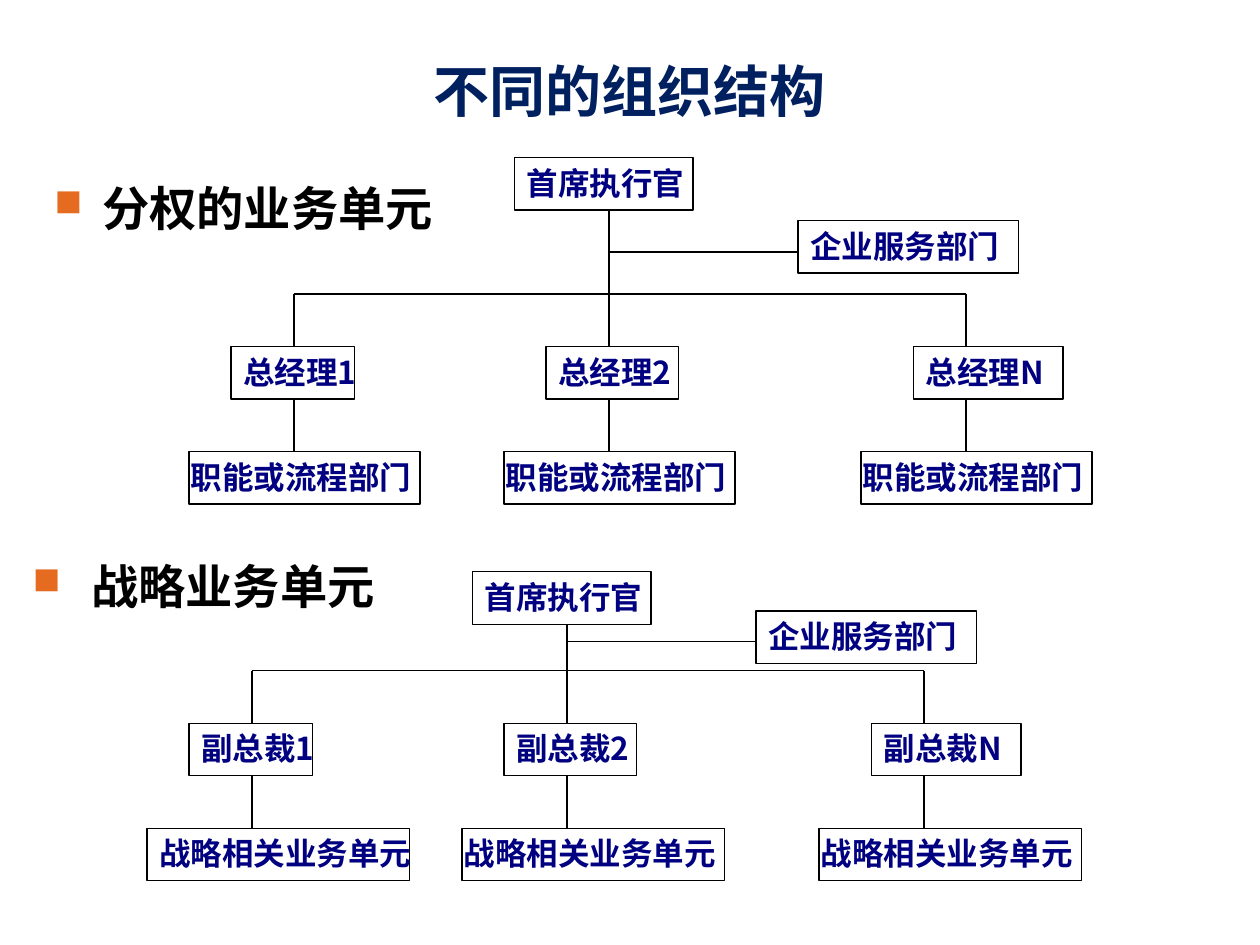
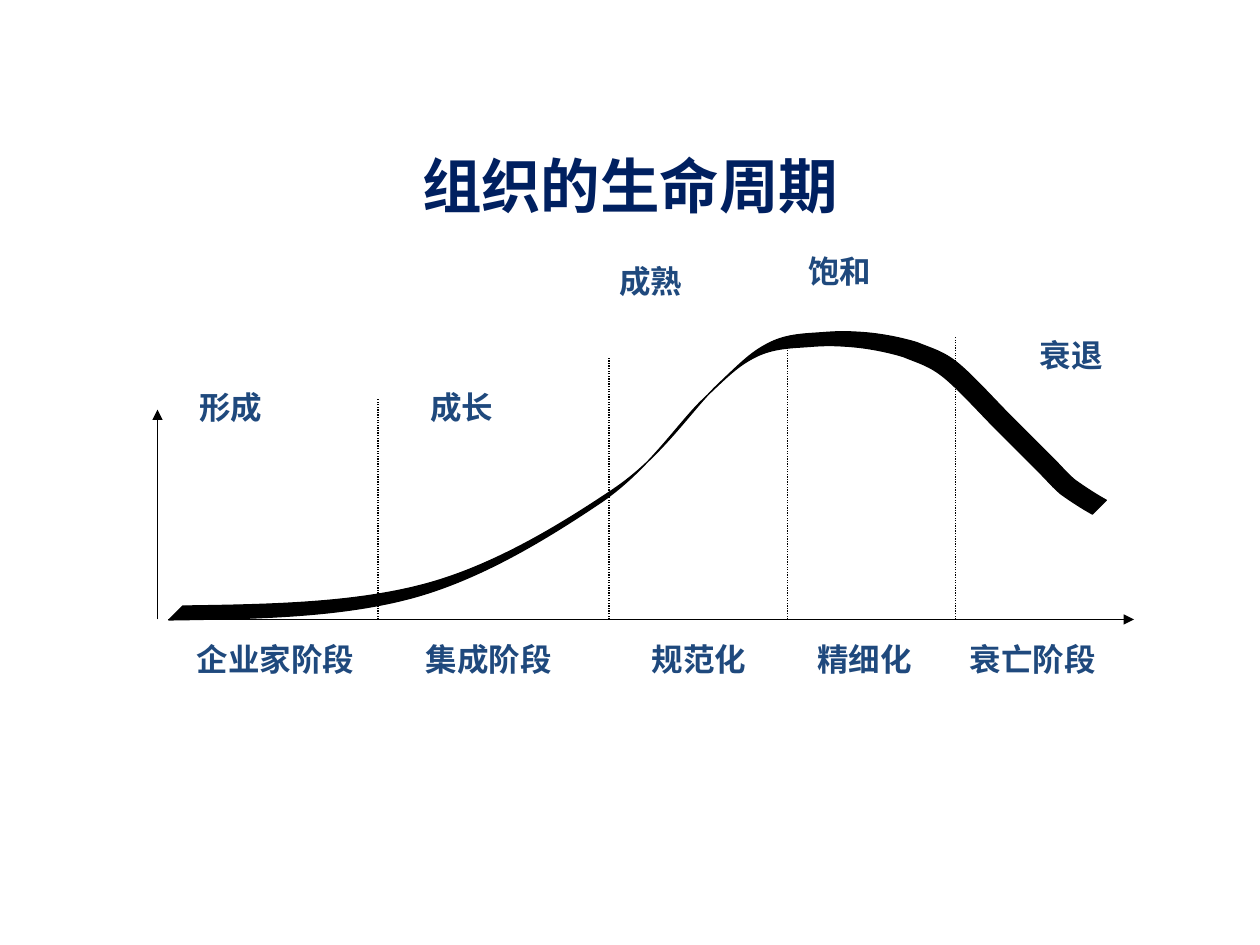
from lxml.etree import SubElement
from pptx import Presentation
from pptx.dml.color import RGBColor
from pptx.enum.dml import MSO_LINE
from pptx.enum.shapes import MSO_CONNECTOR, MSO_SHAPE
from pptx.enum.text import MSO_ANCHOR, MSO_AUTO_SIZE, PP_ALIGN
from pptx.oxml.ns import qn
from pptx.util import Inches, Pt

FONT = "Noto Sans CJK SC"
COLORS = {"title": "002060", "box": "000080", "stage": "1F497D",
          "line": "000000", "paper": "FFFFFF", "bullet": "E46B1F"}
CELLS_PER_INCH = 12

BOX_H = 5
TEXT_H = 4.8
COLUMNS = (-30, 0, 34)
MANAGER_BOXES = ((-6, 11.8, 14), (-6, 12.6, 15), (-5, 14.25, 17))
CHARTS = [
    {"heading": "分权的业务单元", "at": (4, 16.5, 38.9),
     "trunk": 58, "top": 15, "staff": 21, "branch": 24, "bus": 28,
     "trunk_end": 28, "managers": ("总经理1", "总经理2", "总经理N "),
     "unit": "职能或流程部门", "unit_w": 22, "text_w": 26, "shifts": (-1, -1, -1)},
    {"heading": " 战略业务单元", "at": (1.92, 52.5, 36.4),
     "trunk": 54, "top": 54.46, "staff": 58.2, "branch": 61.08, "bus": 63.88,
     "trunk_end": 67.46, "managers": ("副总裁1", "副总裁2", "副总裁N "),
     "unit": "战略相关业务单元", "unit_w": 25, "text_w": 27, "shifts": (0, -1, -1)},
]

BASE = 59
PHASES = [("形成", 19, 37, 11), ("成长", 41, 37, 13), ("成熟", 59, 25, 13),
          ("饱和", 77, 24, 12), ("衰退", 99, 32, 10)]
STAGES = [("企业家阶段", 18.75), ("集成阶段", 40.55), ("规范化", 62.05),
          ("精细化", 77.85), ("衰亡阶段", 92.35)]
DIVIDERS = [(36, 38), (58, 34), (75, 32), (91, 32)]
CURVE_START = (1.34, 4.92)
CURVE = [
    ((2.01, 4.91), (2.68, 4.9), (3.25, 4.75)),
    ((3.82, 4.6), (4.36, 4.26), (4.75, 4)),
    ((5.14, 3.74), (5.38, 3.36), (5.58, 3.17)),
    ((5.79, 2.97), (5.86, 2.9), (6, 2.83)),
    ((6.14, 2.76), (6.29, 2.76), (6.42, 2.75)),
    ((6.54, 2.74), (6.62, 2.74), (6.75, 2.75)),
    ((6.88, 2.76), (7.04, 2.79), (7.17, 2.83)),
    ((7.29, 2.88), (7.38, 2.9), (7.5, 3)),
    ((7.62, 3.1), (7.79, 3.29), (7.92, 3.42)),
    ((8.04, 3.54), (8.17, 3.67), (8.25, 3.75)),
    ((8.33, 3.83), (8.35, 3.86), (8.42, 3.92)),
    ((8.49, 3.97), (8.58, 4.03), (8.67, 4.08)),
]
DEPTH = 0.11


def rgb(name):
    return RGBColor.from_string(COLORS[name])


def grid(*cells):
    return [Inches(c / CELLS_PER_INCH) for c in cells]


def write(tf, text, size, color, align=PP_ALIGN.LEFT):
    p = tf.paragraphs[0]
    p.alignment = align
    r = p.add_run()
    r.text = text
    r.font.name, r.font.size, r.font.bold = FONT, Pt(size), True
    r.font.color.rgb = rgb(color)
    SubElement(r.font._element, qn("a:ea"), typeface=FONT)
    return p


def add_title(s, text, top, size):
    title = s.shapes.title
    title.left, title.top = Inches(0.5), Inches(top)
    title.width, title.height = Inches(9), Inches(0.79)
    title.text_frame.vertical_anchor = MSO_ANCHOR.MIDDLE
    write(title.text_frame, text, size, "title", PP_ALIGN.CENTER)


def add_text_frame(s, x, y, w, h, wrap=True):
    tf = s.shapes.add_textbox(*grid(x, y, w, h)).text_frame
    tf.word_wrap = wrap
    tf.auto_size = MSO_AUTO_SIZE.SHAPE_TO_FIT_TEXT
    return tf


def add_label(s, text, x, y, w):
    tf = add_text_frame(s, x, y, w, 3.6)
    tf.margin_left = tf.margin_right = tf.margin_top = tf.margin_bottom = 0
    return write(tf, text, 18, "stage", PP_ALIGN.JUSTIFY)


def outline(sp, fill):
    sp.shadow.inherit = False
    sp.fill.solid()
    sp.fill.fore_color.rgb = rgb(fill)
    sp.line.color.rgb = rgb("line")
    sp.line.width = Pt(0.75)


def add_box(s, text, x, y, w, text_w, shift=0):
    sp = s.shapes.add_shape(MSO_SHAPE.RECTANGLE, *grid(x, y, w, BOX_H))
    outline(sp, "paper")
    write(add_text_frame(s, x + shift, y, text_w, TEXT_H), text, 18, "box")


def add_line(s, x1, y1, x2, y2, arrow=False, dotted=False):
    c = s.shapes.add_connector(MSO_CONNECTOR.STRAIGHT, *grid(x1, y1, x2, y2))
    c.line.color.rgb = rgb("line")
    c.line.width = Pt(0.75)
    if dotted:
        c.line.dash_style = MSO_LINE.ROUND_DOT
    if arrow:
        SubElement(c.line._get_or_add_ln(), qn("a:tailEnd"), type="triangle")
    SubElement(c._element.spPr, qn("a:effectLst"))


def add_heading(s, chart):
    tf = add_text_frame(s, *chart["at"], 6.7, wrap=False)
    pPr = write(tf, chart["heading"], 27, "line")._p.get_or_add_pPr()
    pPr.set("marL", str(Inches(0.38)))
    pPr.set("indent", str(-Inches(0.38)))
    SubElement(SubElement(pPr, qn("a:buClr")), qn("a:srgbClr"), val=COLORS["bullet"])
    SubElement(pPr, qn("a:buSzPct"), val="80000")
    SubElement(pPr, qn("a:buFont"), typeface="Wingdings", charset="2")
    SubElement(pPr, qn("a:buChar"), char="n")


def add_org_chart(s, chart):
    trunk, top, staff, branch, bus = (
        chart[k] for k in ("trunk", "top", "staff", "branch", "bus"))
    manager_y, unit_y = bus + BOX_H, bus + 3 * BOX_H
    add_heading(s, chart)
    add_line(s, trunk, top + BOX_H, trunk, chart["trunk_end"])
    add_line(s, trunk, branch, trunk + 18, branch)
    add_line(s, trunk + COLUMNS[0], bus, trunk + COLUMNS[-1], bus)
    add_box(s, "首席执行官", trunk - 9, top, 17, 22)
    add_box(s, "企业服务部门 ", trunk + 18, staff, 21, 31)
    for column, (dx, w, text_w), manager, shift in zip(
            COLUMNS, MANAGER_BOXES, chart["managers"], chart["shifts"]):
        x = trunk + column
        add_line(s, x, bus, x, manager_y)
        add_line(s, x, manager_y + BOX_H, x, unit_y)
        add_box(s, manager, x + dx, manager_y, w, text_w)
        add_box(s, chart["unit"], x - 10, unit_y,
                chart["unit_w"], chart["text_w"], shift)


def add_curve(s):
    front = [CURVE_START] + [point for segment in CURVE for point in segment]
    back = [(x + DEPTH, y - DEPTH) for x, y in reversed(front)]
    corners = [(Inches(x), Inches(y)) for x, y in front[::3] + back[::3]]
    builder = s.shapes.build_freeform(*corners[0])
    builder.add_line_segments(corners[1:], close=True)
    sp = builder.convert_to_shape()
    outline(sp, "line")
    outline_xml = next(sp._element.iter(qn("a:path")))
    for old in list(outline_xml):
        outline_xml.remove(old)

    def draw(command, points):
        node = SubElement(outline_xml, qn("a:" + command))
        for x, y in points:
            SubElement(node, qn("a:pt"), x=str(Inches(x) - sp.left),
                       y=str(Inches(y) - sp.top))

    for edge, command in ((front, "moveTo"), (back, "lnTo")):
        draw(command, edge[:1])
        for i in range(1, len(edge), 3):
            draw("cubicBezTo", edge[i:i + 3])
    draw("close", [])


def add_stages(s):
    left = STAGES[0][1]
    p = add_label(s, "\t".join(name for name, _ in STAGES), left, 61, 98)
    tabs = SubElement(p._p.get_or_add_pPr(), qn("a:tabLst"))
    for _, x in STAGES[1:]:
        SubElement(tabs, qn("a:tab"), pos=str(grid(x - left)[0]), algn="l")


prs = Presentation()
prs.slide_width, prs.slide_height = Inches(10), Inches(7.5)
title_only = prs.slide_layouts[5]

s = prs.slides.add_slide(title_only)
add_title(s, "不同的组织结构", 0.32, 32)
for chart in CHARTS:
    add_org_chart(s, chart)

s = prs.slides.add_slide(title_only)
add_title(s, "组织的生命周期", 1.07, 34)
add_line(s, 15, BASE, 15, 39, arrow=True)
add_line(s, 16, BASE, 108, BASE, arrow=True)
add_curve(s)
for x, y in DIVIDERS:
    add_line(s, x, BASE, x, y, dotted=True)
for phase in PHASES:
    add_label(s, *phase)
add_stages(s)

prs.save("out.pptx")
